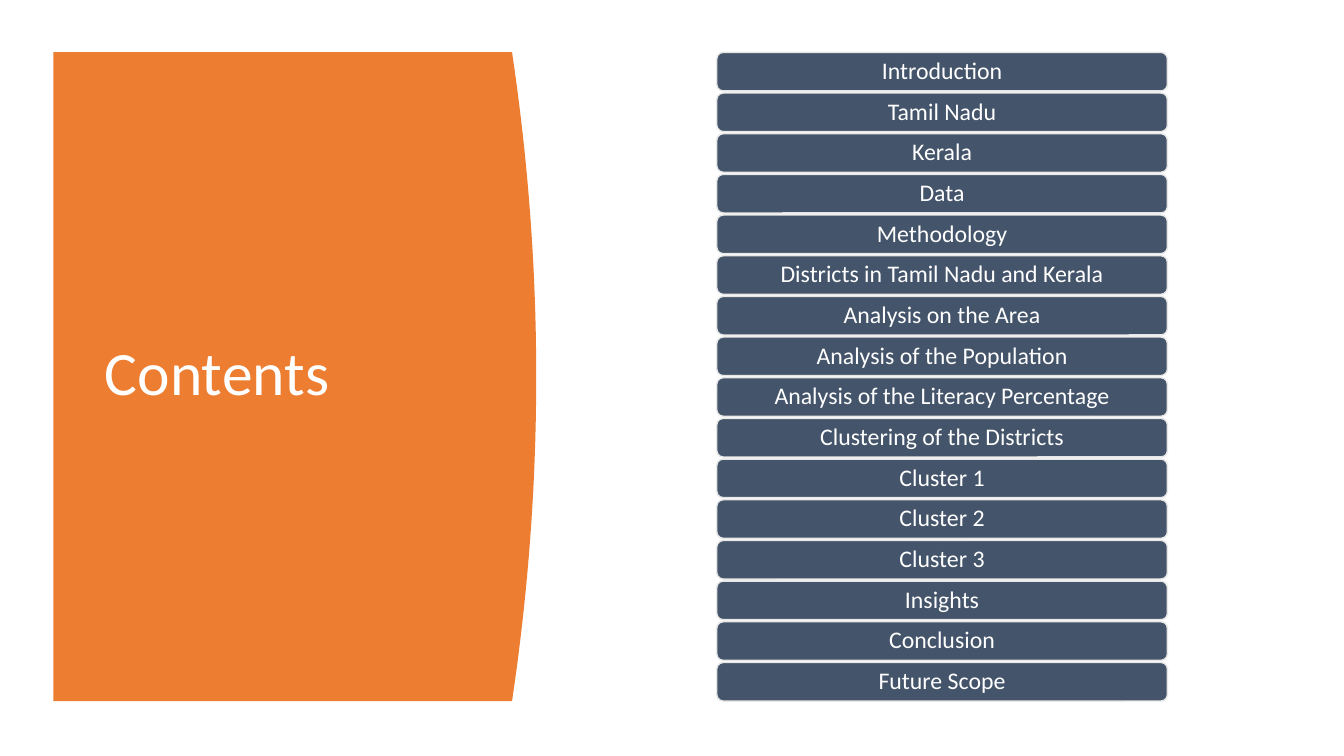
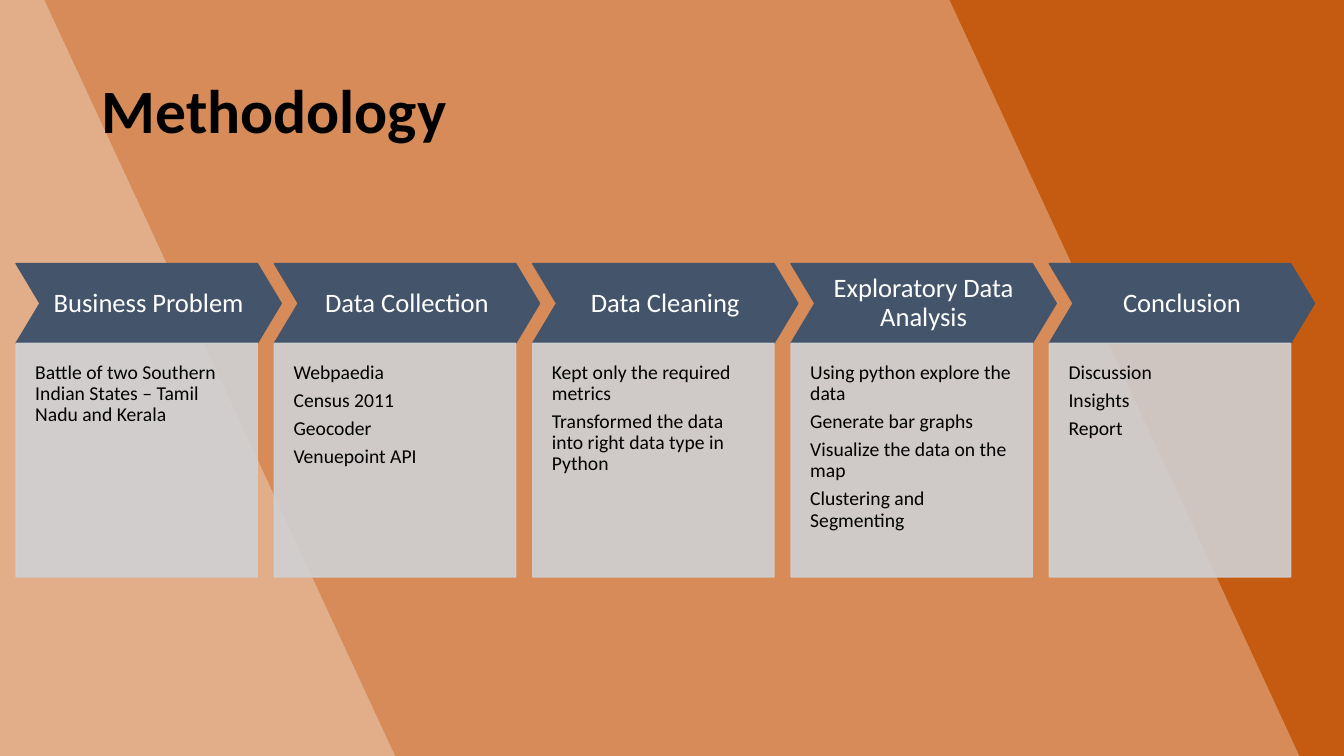
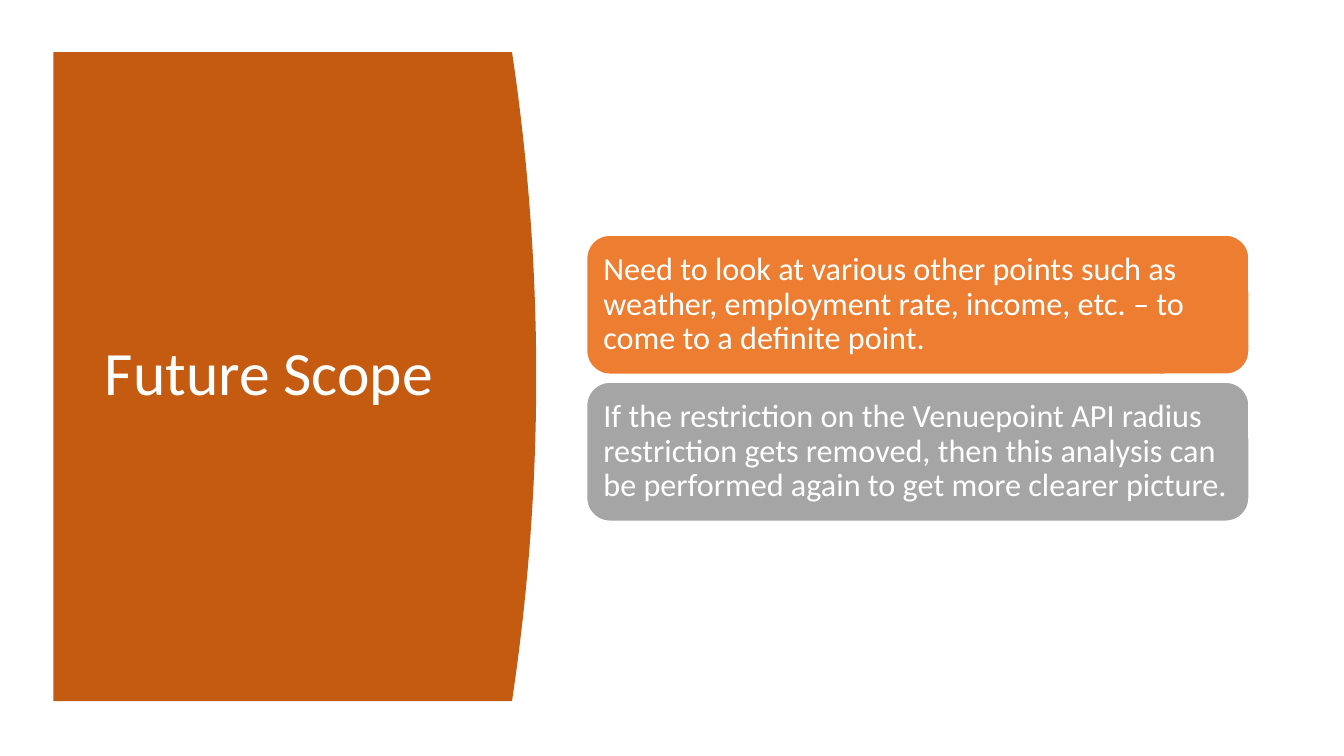
from pptx import Presentation
from pptx.dml.color import RGBColor
from pptx.enum.shapes import MSO_SHAPE as SHAPE
from pptx.enum.text import MSO_ANCHOR as ANCHOR, MSO_AUTO_SIZE as AUTO, PP_ALIGN as ALIGN
from pptx.oxml.ns import qn
from pptx.util import Inches, Pt
from lxml import etree

FONT = "Calibri"
WHITE = RGBColor(0xFF, 0xFF, 0xFF)
BLACK = RGBColor(0x00, 0x00, 0x00)
ORANGE = RGBColor(0xED, 0x7D, 0x31)
RUST = RGBColor(0xC5, 0x5A, 0x11)
SLATE = RGBColor(0x44, 0x54, 0x6A)
PALE = RGBColor(0xE7, 0xE6, 0xE6)
MIST = RGBColor(0xCF, 0xD1, 0xD4)
GRAY = RGBColor(0xA5, 0xA5, 0xA5)

# Boxes are left, top, width, height in percent of the slide's size
PANEL_TITLE = (7.05, 14.8, 28.05, 69.87)
WIDE_TITLE = (6.82, 5.33, 86.33, 19.33)


def write(sp, *lines, size=18, color=WHITE, bold=False, align=ALIGN.LEFT,
          anchor=ANCHOR.MIDDLE, insets=(0.1, 0.1, 0.1, 0.1), after=0.35):
    """Fill a shape with paragraphs; insets are left, top, right, bottom in inches."""
    tf = sp.text_frame
    tf.word_wrap = True
    tf.auto_size = AUTO.NONE
    tf.vertical_anchor = anchor
    tf.margin_left, tf.margin_top, tf.margin_right, tf.margin_bottom = map(Inches, insets)
    for i, line in enumerate(lines):
        p = tf.add_paragraph() if i else tf.paragraphs[0]
        p.alignment = align
        p.line_spacing = 0.9
        p.space_before = Pt(0)
        p.space_after = Pt(after * size)
        r = p.add_run()
        r.text = line
        r.font.name = FONT
        r.font.size = Pt(size)
        r.font.bold = bold
        r.font.color.rgb = color


class Deck:
    """Holds the presentation, its style and the current slide."""

    def __init__(self):
        self.prs = Presentation()
        self.prs.slide_width = Inches(13.33)
        self.prs.slide_height = Inches(7.5)
        self.slide = None

    def x(self, share):
        return round(self.prs.slide_width * share / 100)

    def y(self, share):
        return round(self.prs.slide_height * share / 100)

    def box(self, left, top, width, height):
        return self.x(left), self.y(top), self.x(width), self.y(height)

    def new_slide(self):
        self.slide = self.prs.slides.add_slide(self.prs.slide_layouts[5])

    def title(self, text, box, color=WHITE, bold=False):
        sp = self.slide.shapes.title
        sp.left, sp.top, sp.width, sp.height = self.box(*box)
        write(sp, text, size=44, color=color, bold=bold,
              insets=(0.1, 0.05, 0.1, 0.05), after=0)
        # Bring the title in front of the backdrop
        sp.element.getparent().append(sp.element)

    def paint(self, sp, fill, line=None, opacity=100):
        sp.shadow.inherit = False
        sp.fill.solid()
        sp.fill.fore_color.rgb = fill
        if line is None:
            sp.line.fill.background()
        else:
            sp.line.color.rgb = line
            sp.line.width = Pt(1)
        if opacity < 100:
            for clr in sp.element.spPr.iter(qn("a:srgbClr")):
                etree.SubElement(clr, qn("a:alpha"), val=str(opacity * 1000))
        return sp

    def shape(self, kind, box, fill, **look):
        sp = self.slide.shapes.add_shape(kind, *self.box(*box))
        return self.paint(sp, fill, **look)

    def outline(self, points, fill, **look):
        pts = [(self.x(px), self.y(py)) for px, py in points]
        builder = self.slide.shapes.build_freeform(*pts[0], scale=1.0)
        builder.add_line_segments(pts[1:], close=True)
        return self.paint(builder.convert_to_shape(), fill, **look)

    def panel(self, fill, steps=40):
        """Side panel whose right edge bulges as a parabola."""
        left, right, bulge, top, bottom = 3.98, 38.1, 1.8, 6.9, 92.75
        edge = []
        for i in range(steps + 1):
            t = i / steps
            edge.append((right + bulge * 4 * t * (1 - t), top + (bottom - top) * t))
        self.outline([(left, top), *edge, (left, bottom)], fill)

    def slice(self, top_right, bottom_right):
        self.outline([(0, 0), (top_right, 0), (bottom_right, 100), (0, 100)],
                     WHITE, opacity=30)


def contents(deck):
    items = ["Introduction", "Tamil Nadu", "Kerala", "Data", "Methodology",
             "Districts in Tamil Nadu and Kerala", "Analysis on the Area",
             "Analysis of the Population", "Analysis of the Literacy Percentage",
             "Clustering of the Districts", "Cluster 1", "Cluster 2", "Cluster 3",
             "Insights", "Conclusion", "Future Scope"]
    deck.new_slide()
    deck.panel(ORANGE)
    deck.title("Contents", PANEL_TITLE)
    for i, item in enumerate(items):
        sp = deck.shape(SHAPE.ROUNDED_RECTANGLE, (53.33, 6.93 + 5.38 * i, 33.53, 5.1),
                        SLATE, line=PALE)
        write(sp, item, size=17, align=ALIGN.CENTER, insets=(0.07, 0.04, 0.07, 0.04))


def methodology(deck):
    steps = [
        ("Business Problem", ["Battle of two Southern Indian States – Tamil Nadu and Kerala"]),
        ("Data Collection", ["Webpaedia", "Census 2011", "Geocoder", "Venuepoint API"]),
        ("Data Cleaning", ["Kept only the required metrics",
                           "Transformed the data into right data type in Python"]),
        ("Exploratory Data Analysis", ["Using python explore the data", "Generate bar graphs",
                                       "Visualize the data on the map",
                                       "Clustering and Segmenting"]),
        ("Conclusion", ["Discussion", "Insights", "Report"]),
    ]
    deck.new_slide()
    # Backdrop
    deck.shape(SHAPE.RECTANGLE, (0, 0, 100, 100), RUST)
    deck.slice(70.65, 96.68)
    deck.slice(3.3, 29.4)
    deck.title("Methodology", WIDE_TITLE, color=BLACK, bold=True)
    # Process steps with their details
    for i, (name, details) in enumerate(steps):
        left = 1.2 + 19.22 * i
        sp = deck.shape(SHAPE.CHEVRON, (left, 34.87, 19.73, 10.53), SLATE, line=SLATE)
        sp.adjustments[0] = 0.3
        write(sp, name, size=19, align=ALIGN.CENTER)
        sp = deck.shape(SHAPE.RECTANGLE, (left, 45.4, 17.95, 30.93), MIST,
                        line=MIST, opacity=90)
        write(sp, *details, size=14, color=BLACK, anchor=ANCHOR.TOP,
              insets=(0.19, 0.19, 0.19, 0.38))


def future_scope(deck):
    points = [
        (ORANGE, "Need to look at various other points such as weather, employment rate, "
                 "income, etc. – to come to a definite point."),
        (GRAY, "If the restriction on the Venuepoint API radius restriction gets removed, "
               "then this analysis can be performed again to get more clearer picture."),
    ]
    deck.new_slide()
    deck.panel(RUST)
    deck.title("Future Scope", PANEL_TITLE)
    for i, (fill, text) in enumerate(points):
        sp = deck.shape(SHAPE.ROUNDED_RECTANGLE, (43.65, 31.1 + 19.45 * i, 49.28, 18.4),
                        fill, line=WHITE)
        write(sp, text, size=23)


def main():
    deck = Deck()
    contents(deck)
    methodology(deck)
    future_scope(deck)
    deck.prs.save("out.pptx")


if __name__ == "__main__":
    main()
